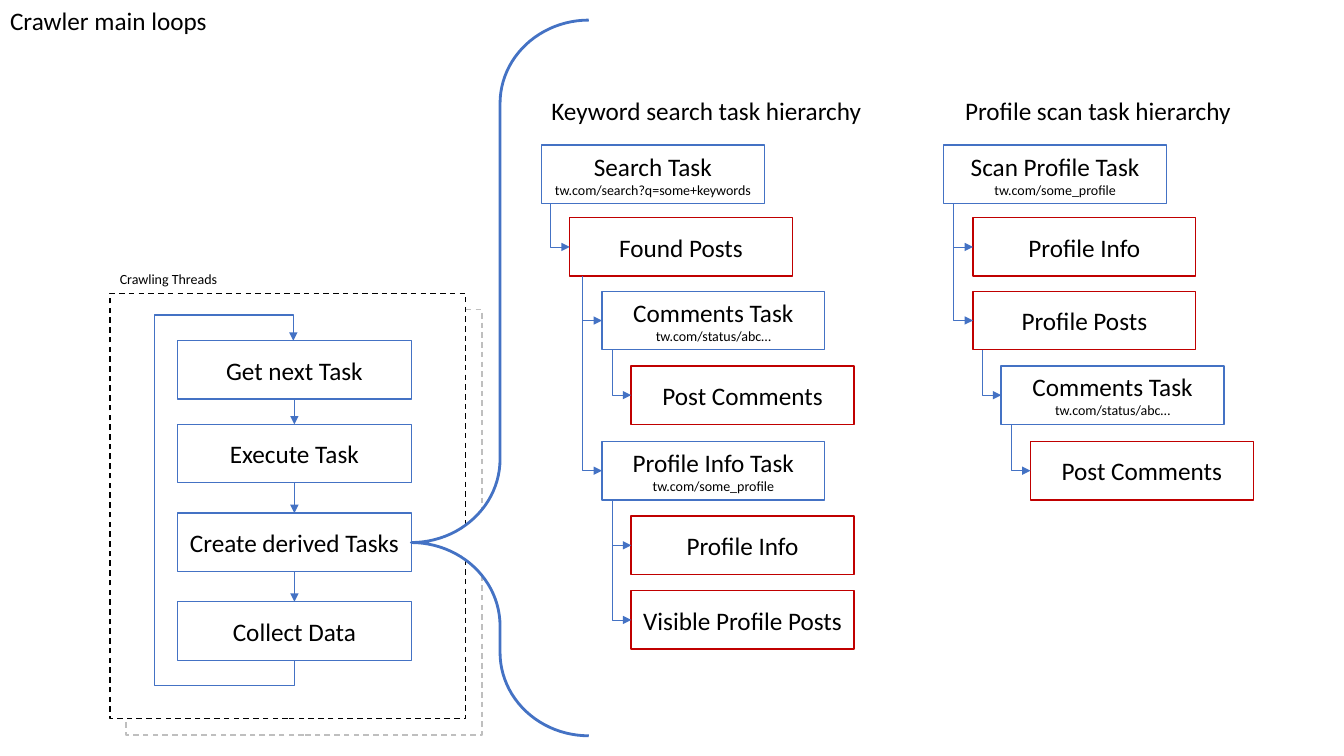
"""Build the slide showing the crawler main loop and its task hierarchies."""
from lxml import etree
from pptx import Presentation
from pptx.dml.color import RGBColor
from pptx.enum.dml import MSO_LINE
from pptx.enum.shapes import MSO_CONNECTOR, MSO_SHAPE
from pptx.enum.text import MSO_ANCHOR, MSO_AUTO_SIZE, PP_ALIGN
from pptx.oxml.ns import qn
from pptx.util import Inches, Pt

STRAIGHT, ELBOW = MSO_CONNECTOR.STRAIGHT, MSO_CONNECTOR.ELBOW
RECTANGLE, BRACE = MSO_SHAPE.RECTANGLE, MSO_SHAPE.LEFT_BRACE
LEFT, CENTER = PP_ALIGN.LEFT, PP_ALIGN.CENTER
TOP, MIDDLE = MSO_ANCHOR.TOP, MSO_ANCHOR.MIDDLE
GROW, DASH = MSO_AUTO_SIZE.SHAPE_TO_FIT_TEXT, MSO_LINE.DASH
BLUE, RED, BLACK, GREY, WHITE = "4472C4", "C00000", "000000", "BFBFBF", "FFFFFF"
FONT = "Calibri"
color = RGBColor.from_string

presentation = Presentation()
presentation.slide_width, presentation.slide_height = Inches(13.33), Inches(7.5)
slide = presentation.slides.add_slide(presentation.slide_layouts[5])
shapes = slide.shapes


def add_box(place, outline, name="", detail="", kind=RECTANGLE, weight=1):
    """Add a white outlined shape with a name and an optional small detail line."""
    box = shapes.add_shape(kind, *map(Inches, place))
    box.shadow.inherit = False
    box.fill.solid()
    box.fill.fore_color.rgb = color(WHITE)
    box.line.color.rgb = color(outline)
    box.line.width = Pt(weight)
    box.text_frame.vertical_anchor = MIDDLE
    box.text_frame.word_wrap = True
    if name:
        paragraph = box.text_frame.paragraphs[0]
        paragraph.alignment = CENTER
        paragraph.font.name, paragraph.font.size = FONT, Pt(18)
        paragraph.font.color.rgb = color(BLACK)
        paragraph.add_run().text = name
        if detail:
            paragraph.add_line_break()
            detail_run = paragraph.add_run()
            detail_run.text = detail
            detail_run.font.size = Pt(10)
    return box


def add_arrow(start, end, weight, preset=None, turn=0, bends=()):
    """Add an arrow; a preset makes it a turned elbow with the given bends."""
    (x1, y1), (x2, y2) = start, end
    if preset:
        middle_x, middle_y = (x1 + x2) / 2, (y1 + y2) / 2
        half_run, half_rise = abs(y2 - y1) / 2, abs(x2 - x1) / 2
        x1, x2 = middle_x - half_run, middle_x + half_run
        y1, y2 = middle_y - half_rise, middle_y + half_rise
    arrow = shapes.add_connector(ELBOW if preset else STRAIGHT, *map(Inches, (x1, y1, x2, y2)))
    arrow.line.color.rgb = color(BLUE)
    arrow.line.width = Pt(weight)
    properties = arrow.element.spPr
    etree.SubElement(properties.find(qn("a:ln")), qn("a:tailEnd"), type="triangle")
    etree.SubElement(properties, qn("a:effectLst"))
    if preset:
        frame, geometry = properties.find(qn("a:xfrm")), properties.find(qn("a:prstGeom"))
        frame.set("rot", str(turn * 60000))
        frame.set("flipH", "1")
        geometry.set("prst", preset)
        guides = geometry.find(qn("a:avLst"))
        for number, bend in enumerate(bends, 1):
            etree.SubElement(guides, qn("a:gd"), name=f"adj{number}", fmla=f"val {round(bend * 100000)}")
    return arrow


add_box((1.25, 3.07, 3.53, 4.22), GREY).line.dash_style = DASH
add_box((1.09, 2.91, 3.53, 4.22), BLACK).line.dash_style = DASH

loop_steps = [
    (3.38, "Get next Task"),
    (4.21, "Execute Task"),
    (5.09, "Create derived Tasks"),
    (5.97, "Collect Data"),
]
step_boxes = [add_box((1.76, top, 2.32, 0.58), BLUE, name) for top, name in loop_steps]
for step, following in zip(step_boxes, step_boxes[1:]):
    step_arrow = add_arrow((2.92, 4), (2.92, 4.2), 1)
    step_arrow.begin_connect(step, 2)
    step_arrow.end_connect(following, 0)
add_arrow((2.92, 6.55), (2.91, 3.38), 1, "bentConnector5", 90, (-0.08, 141, 1.08))

derived_brace = add_box((4.08, 0.2, 1.76, 7.1), BLUE, kind=BRACE, weight=2)
derived_brace.adjustments[0], derived_brace.adjustments[1] = 0.47, 0.73

row_tops = [1.44, 2.16, 2.89, 3.63, 4.38, 5.12, 5.86]
box_width, box_height = 2.21, 0.58
hierarchies = [
    ([5.37, 5.65, 5.97, 6.26], [
        (0, "Search Task", "tw.com/search?q=some+keywords"),
        (1, "Found Posts", ""),
        (2, "Comments Task", "tw.com/status/abc…"),
        (3, "Post Comments", ""),
        (2, "Profile Info Task", "tw.com/some_profile"),
        (3, "Profile Info", ""),
        (3, "Visible Profile Posts", ""),
    ]),
    ([9.36, 9.65, 9.93, 10.22], [
        (0, "Scan Profile Task", "tw.com/some_profile"),
        (1, "Profile Info", ""),
        (1, "Profile Posts", ""),
        (2, "Comments Task", "tw.com/status/abc…"),
        (3, "Post Comments", ""),
    ]),
]
for level_lefts, tasks in hierarchies:
    level_bottoms = {}
    for top, (level, name, detail) in zip(row_tops, tasks):
        left = level_lefts[level]
        add_box((left, top, box_width, box_height), BLUE if detail else RED, name, detail)
        level_bottoms[level] = top + box_height
        if level:
            add_arrow((left - 0.19, level_bottoms[level - 1]), (left, top + box_height / 2),
                      0.5, "bentConnector2", 270)

headings = [
    (shapes.title, (0, 0, 2.17, 0.4), "Crawler main loops", 18, LEFT, False),
    (None, (1.09, 2.63, 1.44, 0.27), "Crawling Threads", 10, LEFT, True),
    (None, (5.37, 0.9, 3.29, 0.4), "Keyword search task hierarchy", 18, LEFT, True),
    (None, (9.36, 0.9, 3.06, 0.4), "Profile scan task hierarchy", 18, CENTER, True),
]
for holder, place, wording, size, alignment, wrap in headings:
    heading = holder or shapes.add_textbox(0, 0, 0, 0)
    heading.left, heading.top, heading.width, heading.height = map(Inches, place)
    frame = heading.text_frame
    frame.text = wording
    frame.word_wrap, frame.auto_size, frame.vertical_anchor = wrap, GROW, TOP
    paragraph = frame.paragraphs[0]
    paragraph.alignment = alignment
    paragraph.font.name, paragraph.font.size = FONT, Pt(size)
    paragraph.font.color.rgb = color(BLACK)

presentation.save("out.pptx")
